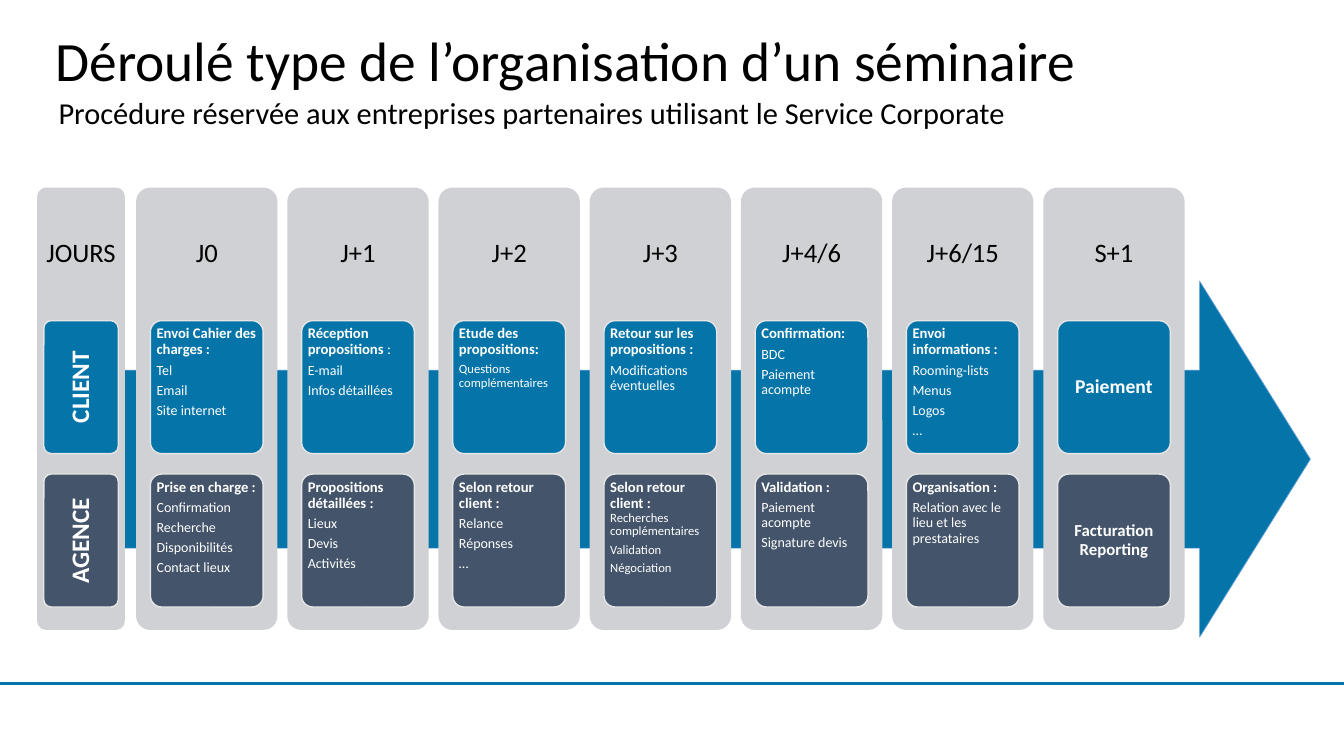
from dataclasses import dataclass, replace

from lxml.etree import SubElement
from pptx import Presentation
from pptx.dml.color import RGBColor
from pptx.enum.shapes import MSO_CONNECTOR, MSO_SHAPE
from pptx.enum.text import MSO_ANCHOR, MSO_AUTO_SIZE, PP_ALIGN
from pptx.oxml.ns import qn
from pptx.util import Pt

COLORS = {
    "blue": "0474A9", "slate": "44546A", "column": "CFD1D4", "card_edge": "E7E6E6",
    "arrow_edge": "5B9BD5", "black": "000000", "white": "FFFFFF",
}
FONT = "Calibri"
COLUMN_TOP, COLUMN_HEIGHT = 134, 316
FIRST_STEP_LEFT, STEP_PITCH = 97.2, 108
CARD_HEIGHT = 95
CARD_ROWS = (("blue", 229), ("slate", 338.6))


@dataclass(frozen=True)
class Span:
    text: str
    size: float
    bold: bool = False


Line = tuple[Span, ...]


@dataclass(frozen=True)
class Card:
    lines: tuple[Line, ...]
    centered: bool = False
    vertical: bool = False


@dataclass(frozen=True)
class Column:
    label: str
    client: Card
    agency: Card
    left: float = 0
    width: float = 101
    card_inset: float = 10.2


def listing(heading: str, *items: str, size: float = 10) -> Card:
    lines = [(Span(heading, 10.5, True),)]
    return Card((*lines, *((Span(item, size),) for item in items)))


def caption(text: str, size: float, vertical: bool = False) -> Card:
    return Card(((Span(text, size, True),),), True, vertical)


ROLES = Column("JOURS", caption("CLIENT", 18, True), caption("AGENCE", 18, True),
               left=26.6, width=62.6, card_inset=4.7)

STEPS = (
    Column("J0",
           listing("Envoi Cahier des charges :", "Tel", "Email", "Site internet"),
           listing("Prise en charge :", "Confirmation", "Recherche", "Disponibilités",
                   "Contact lieux")),
    Column("J+1",
           Card(((Span("Réception propositions ", 10.5, True), Span(":", 10.5)),
                 (Span("E-mail", 10),), (Span("Infos détaillées", 10),))),
           listing("Propositions détaillées :", "Lieux", "Devis", "Activités")),
    Column("J+2",
           listing("Etude des propositions:", "Questions complémentaires", size=9),
           listing("Selon retour client :", "Relance", "Réponses", "…")),
    Column("J+3",
           listing("Retour sur les propositions :", "Modifications éventuelles"),
           Card(((Span("Selon retour client : ", 10.5, True),
                  Span("Recherches complémentaires", 9)),
                 (Span("Validation", 9),), (Span("Négociation", 9),)))),
    Column("J+4/6",
           listing("Confirmation:", "BDC", "Paiement acompte"),
           listing("Validation :", "Paiement acompte", "Signature devis")),
    Column("J+6/15",
           listing("Envoi informations :", "Rooming-lists", "Menus", "Logos", "…"),
           listing("Organisation :", "Relation avec le lieu et les prestataires")),
    Column("S+1", caption("Paiement", 14), caption("Facturation Reporting", 12)),
)


def rgb(name: str) -> RGBColor:
    return RGBColor.from_string(COLORS[name])


def set_margins(frame, horizontal: float, vertical: float) -> None:
    frame.margin_left = frame.margin_right = Pt(horizontal)
    frame.margin_top = frame.margin_bottom = Pt(vertical)


def write_line(paragraph, line: Line, color: str, align=PP_ALIGN.LEFT,
               spacing: float = 0.9, after: float = 0.35) -> None:
    first = line[0]
    paragraph.alignment = align
    paragraph.line_spacing = spacing
    paragraph.space_before = Pt(0)
    paragraph.space_after = Pt(round(first.size * after, 1))
    paragraph.font.name = FONT
    paragraph.font.size = Pt(first.size)
    paragraph.font.bold = first.bold
    paragraph.font.color.rgb = rgb(color)
    for span in line:
        run = paragraph.add_run()
        run.text = span.text
        if span.size != first.size:
            run.font.size = Pt(span.size)
        if span.bold != first.bold:
            run.font.bold = span.bold


def add_block(page, kind, left: float, top: float, width: float, height: float,
              fill: str, edge: str = "", edge_width: float = 1):
    block = page.shapes.add_shape(kind, Pt(left), Pt(top), Pt(width), Pt(height))
    block.shadow.inherit = False
    block.fill.solid()
    block.fill.fore_color.rgb = rgb(fill)
    if edge:
        block.line.color.rgb = rgb(edge)
        block.line.width = Pt(edge_width)
    else:
        block.line.fill.background()
    return block


def add_card(page, card: Card, left: float, top: float, width: float, fill: str) -> None:
    block = add_block(page, MSO_SHAPE.ROUNDED_RECTANGLE, left, top, width, CARD_HEIGHT,
                      fill, "card_edge")
    block.adjustments[0] = 0.1
    frame = block.text_frame
    frame.word_wrap = True
    set_margins(frame, 2.1, 1.6)
    frame.vertical_anchor = MSO_ANCHOR.MIDDLE if card.centered else MSO_ANCHOR.TOP
    if card.vertical:
        frame._txBody.bodyPr.set("vert", "vert270")
    align = PP_ALIGN.CENTER if card.centered else PP_ALIGN.LEFT
    for index, line in enumerate(card.lines):
        paragraph = frame.add_paragraph() if index else frame.paragraphs[0]
        write_line(paragraph, line, "white", align)


def add_column(page, column: Column) -> None:
    panel = add_block(page, MSO_SHAPE.ROUNDED_RECTANGLE, column.left, COLUMN_TOP,
                      column.width, COLUMN_HEIGHT, "column")
    panel.adjustments[0] = 0.1
    box = page.shapes.add_textbox(Pt(column.left), Pt(COLUMN_TOP), Pt(column.width), Pt(95))
    frame = box.text_frame
    frame.word_wrap = True
    frame.vertical_anchor = MSO_ANCHOR.MIDDLE
    set_margins(frame, 5.4, 5.4)
    write_line(frame.paragraphs[0], (Span(column.label, 19),), "black", PP_ALIGN.CENTER)
    for card, (fill, top) in zip((column.client, column.agency), CARD_ROWS):
        add_card(page, card, column.left + column.card_inset, top,
                 column.width - 2 * column.card_inset, fill)


def fill_placeholder(box, text: str, size: float, left: float, top: float, width: float,
                     height: float, anchor, spacing: float) -> None:
    box.left, box.top, box.width, box.height = Pt(left), Pt(top), Pt(width), Pt(height)
    frame = box.text_frame
    frame.auto_size = MSO_AUTO_SIZE.NONE
    frame.word_wrap = True
    frame.vertical_anchor = anchor
    write_line(frame.paragraphs[0], (Span(text, size),), "black", spacing=spacing, after=0)


def main() -> None:
    deck = Presentation()
    deck.slide_width, deck.slide_height = Pt(960), Pt(540)
    page = deck.slides.add_slide(deck.slide_layouts[0])

    # Title and subtitle
    fill_placeholder(page.shapes.title, "Déroulé type de l’organisation d’un séminaire",
                     39.6, 32.4, 33.8, 788.4, 23, MSO_ANCHOR.MIDDLE, 0.9)
    fill_placeholder(page.placeholders[1],
                     "Procédure réservée aux entreprises partenaires utilisant le "
                     "Service Corporate",
                     21.7, 34.6, 70.6, 746, 26, MSO_ANCHOR.TOP, 0.7)

    # Footer rule
    rule = page.shapes.add_connector(MSO_CONNECTOR.STRAIGHT, Pt(0), Pt(488.2),
                                     Pt(960), Pt(488.2))
    rule.line.color.rgb = rgb("blue")
    rule.line.width = Pt(2.25)
    SubElement(rule._element.spPr, qn("a:effectLst"))

    # Arrow behind the columns
    arrow = add_block(page, MSO_SHAPE.RIGHT_ARROW, 55.4, 200.9, 880.6, 254.2,
                      "blue", "arrow_edge", 0.5)
    arrow.adjustments[1] = 0.311

    # Roles, then one column per step
    add_column(page, ROLES)
    for index, step in enumerate(STEPS):
        add_column(page, replace(step, left=FIRST_STEP_LEFT + index * STEP_PITCH))

    deck.save("out.pptx")


if __name__ == "__main__":
    main()
